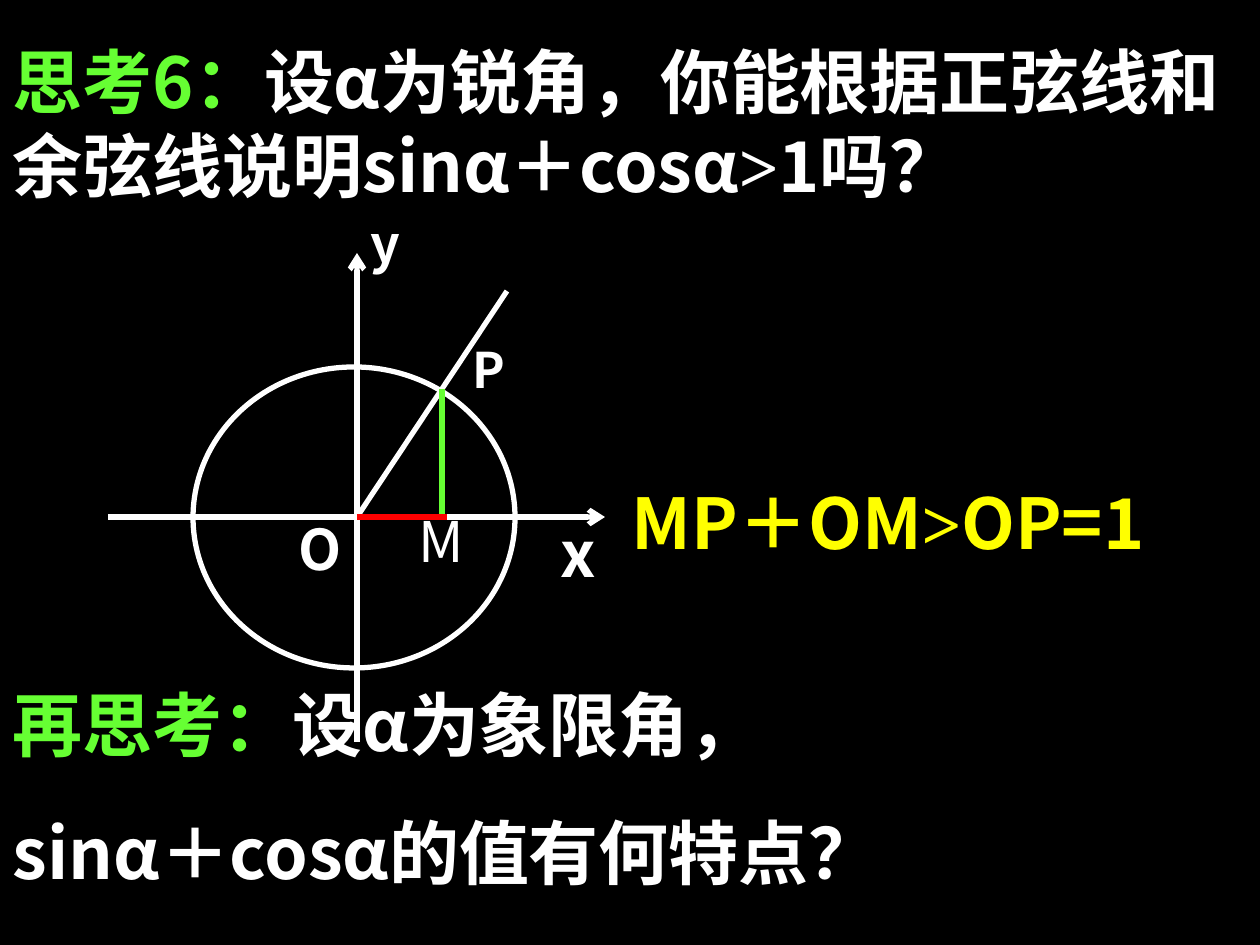
from lxml import etree
from pptx import Presentation
from pptx.dml.color import RGBColor
from pptx.enum.shapes import MSO_CONNECTOR, MSO_SHAPE
from pptx.enum.text import MSO_ANCHOR, MSO_AUTO_SIZE, PP_ALIGN
from pptx.oxml.ns import qn
from pptx.util import Emu, Pt

STRAIGHT = MSO_CONNECTOR.STRAIGHT
OVAL = MSO_SHAPE.OVAL
TOP = MSO_ANCHOR.TOP
NO_FIT = MSO_AUTO_SIZE.NONE
LEFT = PP_ALIGN.LEFT
SCALE = 914400 / 126
SANS, SERIF = "Noto Sans CJK SC", "Times New Roman"
WHITE, GREEN, YELLOW, RED = "FFFFFF", "66FF33", "FFFF00", "FF0000"


def color(value):
    return RGBColor.from_string(value)


def write(sp, box, paragraphs, size=40, bold=True, spacing=1.2, wrap=True):
    sp.left, sp.top, sp.width, sp.height = [Emu(int(v * SCALE)) for v in box]
    tf = sp.text_frame
    tf.word_wrap = wrap
    tf.auto_size = NO_FIT
    tf.vertical_anchor = TOP
    tf.margin_left = tf.margin_right = Emu(int(13 * SCALE))
    tf.margin_top = Emu(int((6 + 0.16 * size) * SCALE))
    tf.margin_bottom = 0
    for i, runs in enumerate(paragraphs):
        p = tf.add_paragraph() if i else tf.paragraphs[0]
        p.alignment = LEFT
        p.line_spacing = Pt(round(size * spacing, 1))
        p.space_before = Pt(25 if i else 0)
        for text, fill, font in runs:
            r = p.add_run()
            r.text = text
            r.font.size = Pt(size)
            r.font.bold = bold
            r.font.name = font
            r.font.color.rgb = color(fill)
            ea = etree.SubElement(r.font._element, qn("a:ea"))
            ea.set("typeface", SANS)


prs = Presentation()
prs.slide_width = Emu(int(1260 * SCALE))
prs.slide_height = Emu(int(945 * SCALE))
s = prs.slides.add_slide(prs.slide_layouts[5])
s.background.fill.solid()
s.background.fill.fore_color.rgb = color("000000")

write(s.shapes.title, (0, 26, 1260, 181), [[
    ("思考6：", GREEN, SANS),
    ("设α为锐角，你能根据正弦线和余弦线说明sinα＋cosα", WHITE, SANS),
    (">", WHITE, SERIF),
    ("1吗？", WHITE, SANS),
]])

figure = s.shapes.add_group_shape().shapes

left, top, width, height = [Emu(int(v * SCALE)) for v in (193, 367, 322, 301)]
circle = figure.add_shape(OVAL, left, top, width, height)
circle.shadow.inherit = False
circle.fill.background()
circle.line.color.rgb = color(WHITE)
circle.line.width = Pt(3)

lines = [
    ((357, 517), (507, 291), WHITE, False),
    ((108, 517), (605, 517), WHITE, True),
    ((357, 742), (357, 253), WHITE, True),
    ((442, 389), (442, 517), GREEN, False),
    ((357, 517), (447, 517), RED, False),
]
for start, end, stroke, arrow in lines:
    points = [Emu(int(v * SCALE)) for v in start + end]
    cx = figure.add_connector(STRAIGHT, *points)
    cx.line.color.rgb = color(stroke)
    cx.line.width = Pt(3)
    if arrow:
        etree.SubElement(cx.line._get_or_add_ln(), qn("a:tailEnd")).set("type", "arrow")
    etree.SubElement(cx._element.spPr, qn("a:effectLst"))

labels = [
    ("P", (460, 329, 96, 87), 28, True, 1.2),
    ("O", (286, 503, 95, 95), 32, True, 1.2),
    ("x", (548, 503, 84, 95), 36, True, 1.2),
    ("y", (357, 207, 108, 79), 29.6, True, 1.08),
    ("M", (406, 495, 108, 113), 32, False, 1.2),
]
for text, box, size, bold, spacing in labels:
    sp = figure.add_textbox(0, 0, 0, 0)
    write(sp, box, [[(text, WHITE, SANS)]], size=size, bold=bold, spacing=spacing)

write(s.shapes.add_textbox(0, 0, 0, 0), (619, 467, 580, 97), [[
    ("MP＋OM", YELLOW, SANS),
    (">", YELLOW, SERIF),
    ("OP=1", YELLOW, SANS),
]], wrap=False)

write(s.shapes.add_textbox(0, 0, 0, 0), (0, 669, 1260, 224), [
    [("再思考：", GREEN, SANS), ("设α为象限角，", WHITE, SANS)],
    [("sinα＋cosα", WHITE, SANS), ("的值有何特点？", WHITE, SERIF)],
])

prs.save("out.pptx")
